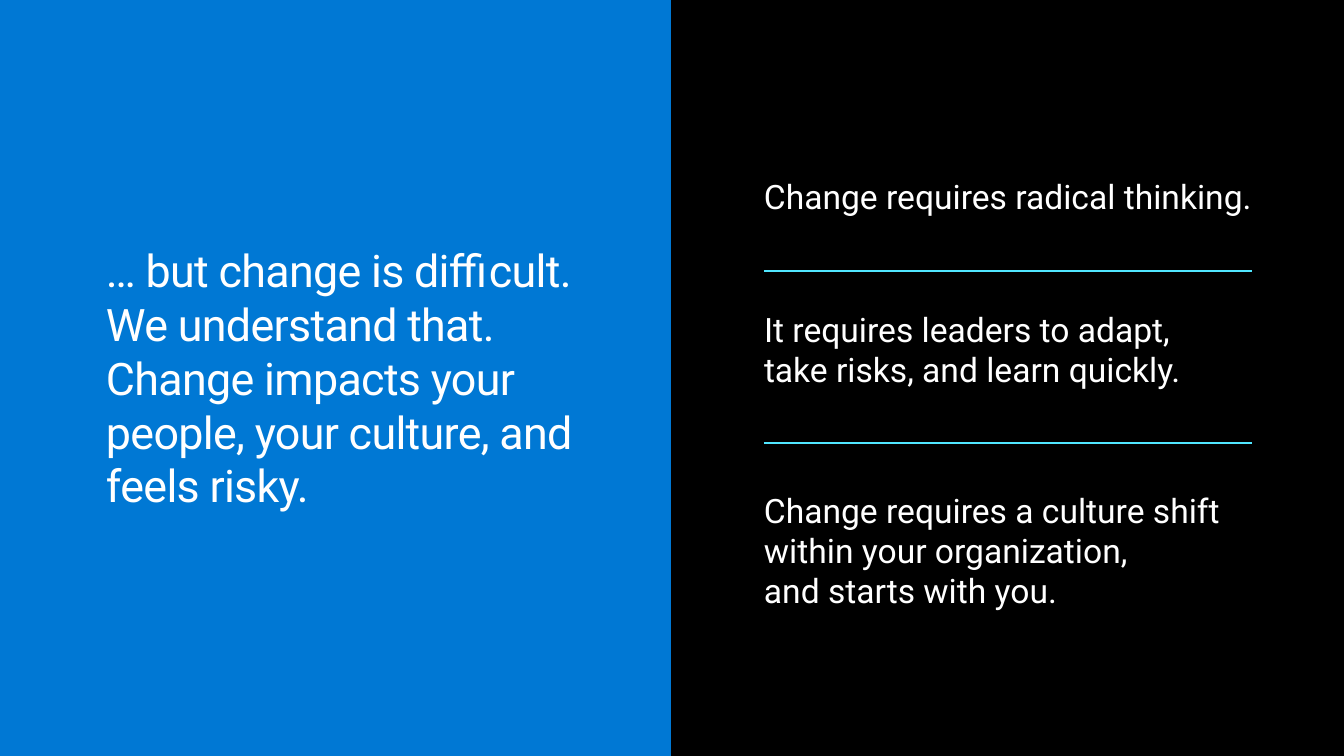
"""Build a split slide: a statement on a blue panel and three points on black."""
from pptx import Presentation
from pptx.dml.color import RGBColor
from pptx.enum.shapes import MSO_CONNECTOR as Connector, MSO_SHAPE as Shape
from pptx.enum.text import MSO_ANCHOR as Anchor, MSO_AUTO_SIZE as AutoSize, PP_ALIGN as Align
from pptx.oxml.ns import qn
from pptx.util import Emu, Pt

COLORS = {"black": "000000", "blue": "0078D4", "cyan": "50E6FF", "white": "FFFFFF"}
SLIDE = (1344, 756)
PANEL = (0, 0, 671, 756)
STATEMENT = (
    (106, 242, 516, 271),
    "… but change is difficult.\nWe understand that.\n"
    "Change impacts your people, your culture, and feels risky.",
)
POINTS_LEFT = 764
POINTS = [
    (176, 534, 40, "Change requires radical thinking."),
    (308, 488, 82, "It requires leaders to adapt,\vtake risks, and learn quickly."),
    (489, 474, 122, "Change requires a culture shift\nwithin your organization,\nand starts with you."),
]
DIVIDER_WIDTH = 488
DIVIDER_TOPS = [271, 443]
FRAME_FORMAT = {
    "word_wrap": True,
    "auto_size": AutoSize.NONE,
    "vertical_anchor": Anchor.MIDDLE,
    "margin_left": 0,
    "margin_top": 0,
    "margin_right": 0,
    "margin_bottom": 0,
}
PARA_FORMAT = {"alignment": Align.LEFT, "space_before": Pt(0), "space_after": Pt(0), "line_spacing": 1.0}


def px(*lengths):
    return [Emu(round(length * 914400 / 100.8)) for length in lengths]


def color(name):
    return RGBColor.from_string(COLORS[name])


def set_format(target, values):
    for name, value in values.items():
        setattr(target, name, value)


def write(box, text, size, tracking=0):
    frame = box.text_frame
    set_format(frame, FRAME_FORMAT)
    frame.text = text
    for para in frame.paragraphs:
        set_format(para, PARA_FORMAT)
        for span in para.runs:
            set_format(span.font, {"name": "Roboto", "size": Pt(size)})
            span.font.color.rgb = color("white")
            if tracking:
                span.font._element.set("spc", str(tracking))


def add_panel(page):
    panel = page.shapes.add_shape(Shape.RECTANGLE, *px(*PANEL))
    panel.shadow.inherit = False
    panel.fill.solid()
    panel.fill.fore_color.rgb = color("blue")
    panel.line.fill.background()
    title = page.shapes.title._element
    title.addprevious(panel._element)


def add_divider(page, top):
    divider = page.shapes.add_connector(
        Connector.STRAIGHT, *px(POINTS_LEFT, top, POINTS_LEFT + DIVIDER_WIDTH, top)
    )
    divider.line.color.rgb = color("cyan")
    divider.line.width = Pt(2)
    properties = divider._element.spPr
    properties.append(properties.makeelement(qn("a:effectLst"), {}))


def main():
    deck = Presentation()
    deck.slide_width, deck.slide_height = px(*SLIDE)
    page = deck.slides.add_slide(deck.slide_layouts[5])
    page.background.fill.solid()
    page.background.fill.fore_color.rgb = color("black")

    add_panel(page)
    place, statement = STATEMENT
    title = page.shapes.title
    set_format(title, dict(zip(("left", "top", "width", "height"), px(*place))))
    write(title, statement, 32, tracking=-50)

    for top, width, height, point in POINTS:
        box = page.shapes.add_textbox(*px(POINTS_LEFT, top, width, height))
        write(box, point, 24)
    for top in DIVIDER_TOPS:
        add_divider(page, top)

    deck.save("out.pptx")


if __name__ == "__main__":
    main()
